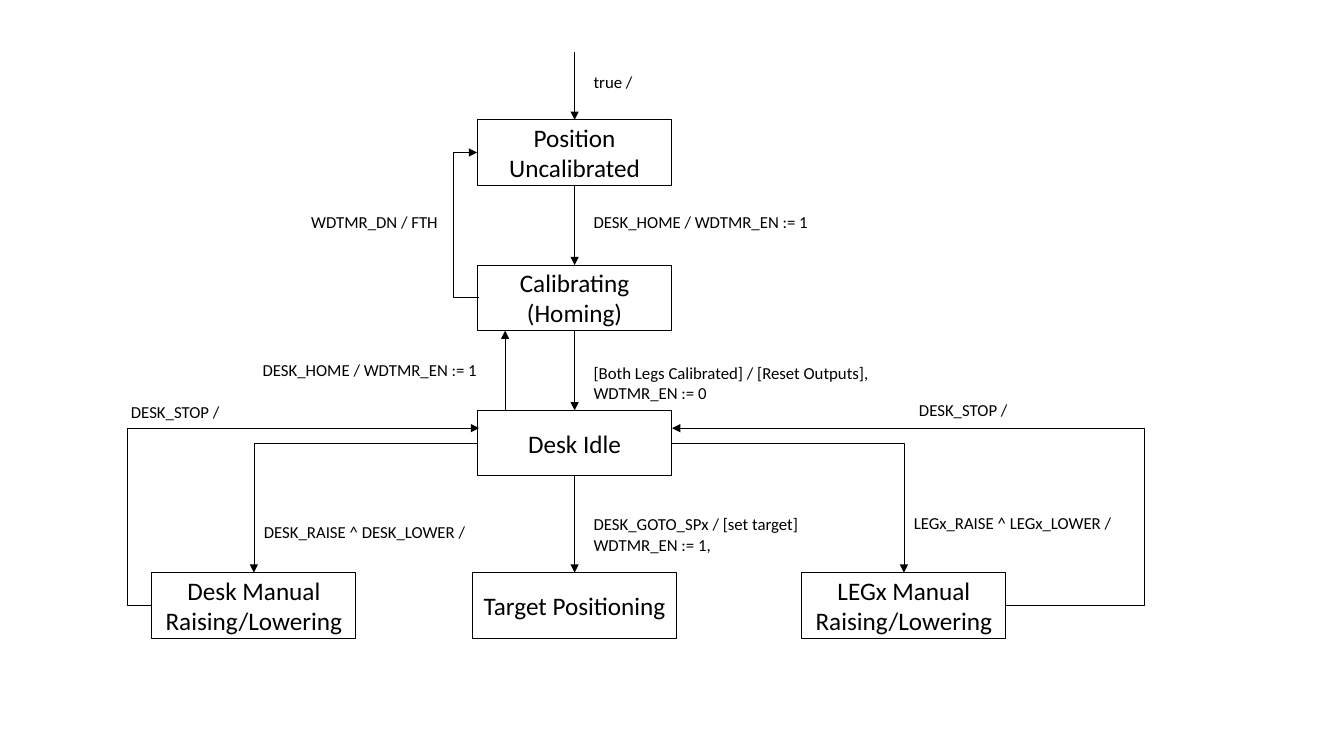
from dataclasses import dataclass
from typing import Optional

from lxml import etree
from pptx import Presentation
from pptx import util as u
from pptx.dml import color
from pptx.enum import shapes, text
from pptx.oxml import ns

INK = {"line": "000000", "text": "000000"}
FONT = "Calibri"
HIGH = 1.65
HALF = HIGH / 2
SLIM, WIDE = 4.91, 5.14
LEFT, MID, RIGHT = 6.4, 14.48, 22.78
HOME, CAL, IDLE = (3.02 + 3.66 * i for i in range(3))
BASE = 14.43
WEST, EAST = MID - SLIM / 2, MID + SLIM / 2
SIDE = 14.71
STOP = 10.79
INSET = 0.05


@dataclass
class State:
    name: str
    mid: float
    top: float
    wide: float = SLIM


@dataclass
class Label:
    words: str
    left: float
    top: float
    high: float = 0.77
    right: bool = False


@dataclass
class Wire:
    x1: float
    y1: float
    x2: float
    y2: float
    via: Optional[float] = None


STATES = [
    State("Position Uncalibrated", MID, HOME),
    State("Calibrating (Homing)", MID, CAL),
    State("Desk Idle", MID, IDLE),
    State("Desk Manual Raising/Lowering", LEFT, BASE, WIDE),
    State("Target Positioning", MID, BASE, WIDE),
    State("LEGx Manual Raising/Lowering", RIGHT, BASE, WIDE),
]

WIRES = [
    Wire(MID, 1.3, MID, HOME),
    Wire(MID, HOME + HIGH, MID, CAL),
    Wire(MID, CAL + HIGH, MID, IDLE),
    Wire(MID, IDLE + HIGH, MID, BASE),
    Wire(12.73, IDLE, 12.73, CAL + HIGH),
    Wire(WEST + INSET, CAL + HALF, WEST, HOME + HALF, 11.43),
    Wire(EAST, IDLE + HALF, RIGHT, BASE),
    Wire(WEST, IDLE + HALF, LEFT, BASE),
    Wire(RIGHT + WIDE / 2, BASE + HALF, EAST, STOP, 28.85),
    Wire(LEFT - WIDE / 2, BASE + HALF, WEST + INSET, STOP, 3.2),
]

LABELS = [
    Label("true / ", SIDE, 1.68),
    Label("DESK_HOME / WDTMR_EN := 1 ", SIDE, 5.21),
    Label("[Both Legs Calibrated] / [Reset Outputs], WDTMR_EN := 0 ", SIDE, 9.02, 1.28),
    Label("DESK_GOTO_SPx / [set target] \nWDTMR_EN := 1, ", SIDE, 12.83, 1.28),
    Label("WDTMR_DN / FTH ", 3.84, 5.21, right=True),
    Label("DESK_HOME / WDTMR_EN := 1 ", 4.83, 8.94, right=True),
    Label("LEGx_RAISE ^ LEGx_LOWER / ", RIGHT, 12.8),
    Label("DESK_RAISE ^ DESK_LOWER / ", LEFT, 13.03),
    Label("DESK_STOP / ", 22.91, 9.96),
    Label("DESK_STOP / ", 3.05, 10.01),
]


def write(frame, words: str, size: int, align) -> None:
    frame.word_wrap = True
    frame.text = words
    for para in frame.paragraphs:
        para.alignment = align
        for run in para.runs:
            run.font.size = u.Pt(size)
            run.font.name = FONT
            run.font.color.rgb = color.RGBColor.from_string(INK["text"])


def stroke(line, width: float) -> None:
    line.color.rgb = color.RGBColor.from_string(INK["line"])
    line.width = u.Pt(width)


def draw_state(slide, state: State) -> None:
    box = slide.shapes.add_shape(
        shapes.MSO_SHAPE.RECTANGLE, u.Cm(state.mid - state.wide / 2),
        u.Cm(state.top), u.Cm(state.wide), u.Cm(HIGH))
    box.shadow.inherit = False
    box.fill.background()
    stroke(box.line, 0.75)
    box.text_frame.vertical_anchor = text.MSO_ANCHOR.MIDDLE
    write(box.text_frame, state.name, 18, text.PP_ALIGN.CENTER)


def draw_wire(slide, wire: Wire) -> None:
    kinds = shapes.MSO_CONNECTOR
    kind = kinds.STRAIGHT if wire.x1 == wire.x2 else kinds.ELBOW
    link = slide.shapes.add_connector(
        kind, u.Cm(wire.x1), u.Cm(wire.y1), u.Cm(wire.x2), u.Cm(wire.y2))
    stroke(link.line, 0.5)
    props = link.element.spPr
    geom = props.find(ns.qn("a:prstGeom"))
    if wire.via is not None:
        bend = round((wire.via - wire.x1) / (wire.x2 - wire.x1) * 100000)
        etree.SubElement(geom.find(ns.qn("a:avLst")), ns.qn("a:gd"),
                         name="adj1", fmla=f"val {bend}")
    elif kind == kinds.ELBOW:
        geom.set("prst", "bentConnector2")
    etree.SubElement(props.find(ns.qn("a:ln")), ns.qn("a:tailEnd"), type="triangle")
    etree.SubElement(props, ns.qn("a:effectLst"))


def draw_label(slide, label: Label) -> None:
    box = slide.shapes.add_textbox(
        u.Cm(label.left), u.Cm(label.top), u.Cm(7.54), u.Cm(label.high))
    align = text.PP_ALIGN.RIGHT if label.right else text.PP_ALIGN.LEFT
    write(box.text_frame, label.words, 12, align)
    box.text_frame.auto_size = text.MSO_AUTO_SIZE.SHAPE_TO_FIT_TEXT


deck = Presentation()
deck.slide_width, deck.slide_height = u.Cm(33.87), u.Cm(19.05)
slide = deck.slides.add_slide(deck.slide_layouts[6])
for state in STATES:
    draw_state(slide, state)
for wire in WIRES:
    draw_wire(slide, wire)
for label in LABELS:
    draw_label(slide, label)
deck.save("out.pptx")
